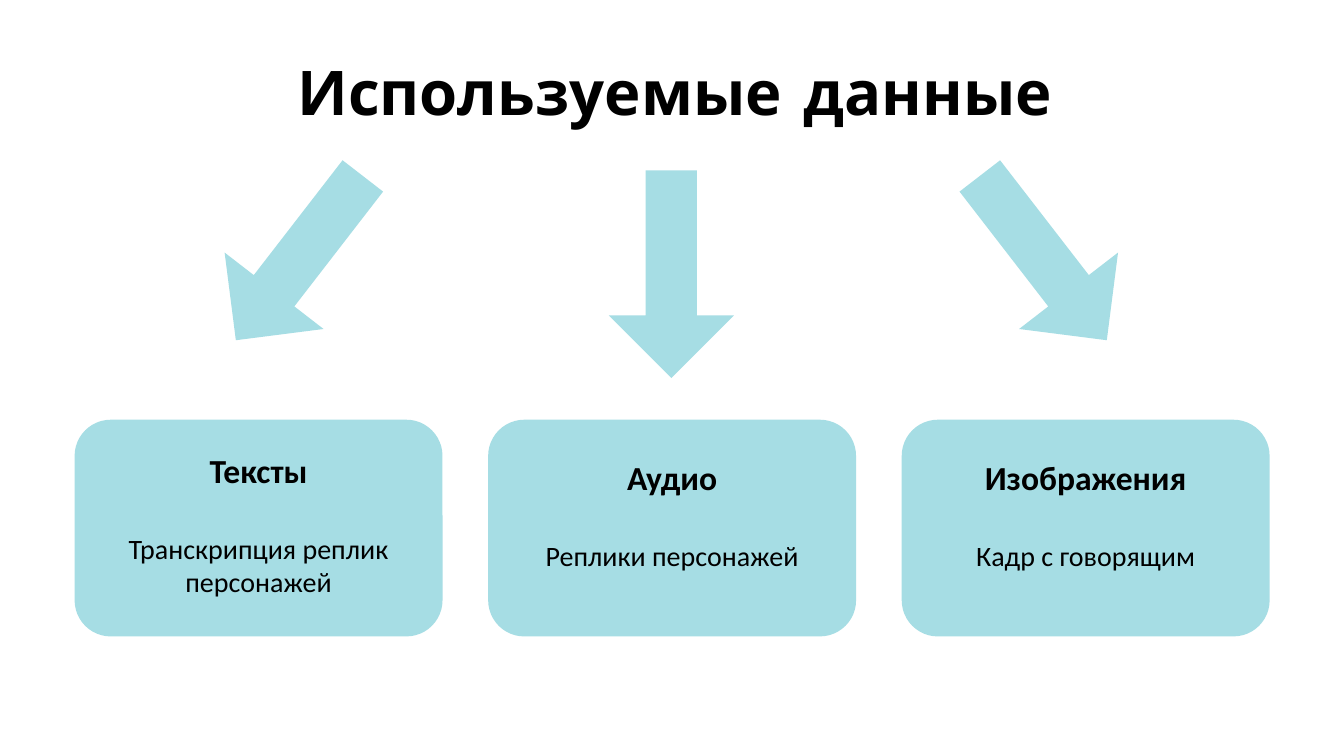
import pptx
import pptx.util
import pptx.dml.color
import pptx.enum.shapes
import pptx.enum.text

Pt = pptx.util.Pt
SHAPE = pptx.enum.shapes.MSO_SHAPE
ANCHOR = pptx.enum.text.MSO_ANCHOR
CENTER = pptx.enum.text.PP_ALIGN.CENTER

AQUA = "A6DDE4"
BLACK = "000000"
CARDS = [
    ("Тексты", "Транскрипция реплик персонажей", 14),
    ("Аудио", "Реплики персонажей", 19),
    ("Изображения", "Кадр с говорящим", 19),
]


def color(value):
    return pptx.dml.color.RGBColor.from_string(value)


def style(p, size, font, bold):
    p.alignment = CENTER
    p.font.size = Pt(size)
    p.font.name = font
    p.font.bold = bold
    p.font.color.rgb = color(BLACK)


def add_filled(s, kind, x, y, w, h):
    sp = s.shapes.add_shape(kind, Pt(x), Pt(y), Pt(w), Pt(h))
    sp.shadow.inherit = False
    sp.fill.solid()
    sp.fill.fore_color.rgb = color(AQUA)
    sp.line.fill.background()
    return sp


def add_title(s, text, x, y, w, h):
    tf = s.shapes.add_textbox(Pt(x), Pt(y), Pt(w), Pt(h)).text_frame
    tf.word_wrap = True
    tf.vertical_anchor = ANCHOR.MIDDLE
    p = tf.paragraphs[0]
    p.text = text
    p.line_spacing = 0.9
    style(p, 44, "Comic Neue", True)


def add_arrows(s, x, y, w, h):
    """Three arrows fanning out from the title, the outer two tilted."""
    length, thick, tilt = 148.3, 89.3, 37.7
    step = (w - length) / 2
    for i, side in enumerate((-1, 0, 1)):
        # The upright arrow sits at the bottom of the box, the tilted at the top
        top = y if side else y + h - thick
        sp = add_filled(s, SHAPE.LEFT_ARROW, x + i * step, top, length, thick)
        sp.adjustments[0] = 0.41
        sp.adjustments[1] = 0.5
        sp.rotation = 270 - side * tilt


def add_card(s, heading, detail, top_margin, x, y, w, h):
    sp = add_filled(s, SHAPE.ROUNDED_RECTANGLE, x, y, w, h)
    tf = sp.text_frame
    tf.word_wrap = True
    tf.vertical_anchor = ANCHOR.TOP
    tf.margin_left = tf.margin_right = Pt(16)
    tf.margin_top = Pt(top_margin)
    p = tf.paragraphs[0]
    p.text = heading
    style(p, 24, "Calibri", True)
    p = tf.add_paragraph()
    p.text = detail
    p.space_before = Pt(29.3)
    style(p, 20, "Calibri", False)


def add_cards(s, x, y, w, h):
    """A row of equal cards spread over the width."""
    card_w = 262.8
    step = (w - card_w) / (len(CARDS) - 1)
    for i, (heading, detail, top_margin) in enumerate(CARDS):
        add_card(s, heading, detail, top_margin, x + i * step, y, card_w, h)


def main():
    prs = pptx.Presentation()
    prs.slide_width, prs.slide_height = Pt(960), Pt(540)
    s = prs.slides.add_slide(prs.slide_layouts[6])
    add_title(s, "Используемые данные", 68.4, 15.8, 828, 104.4)
    add_arrows(s, 139.7, 139.7, 679.7, 100.8)
    add_cards(s, 53.3, 299.8, 853.6, 154.8)
    prs.save("out.pptx")


if __name__ == "__main__":
    main()
